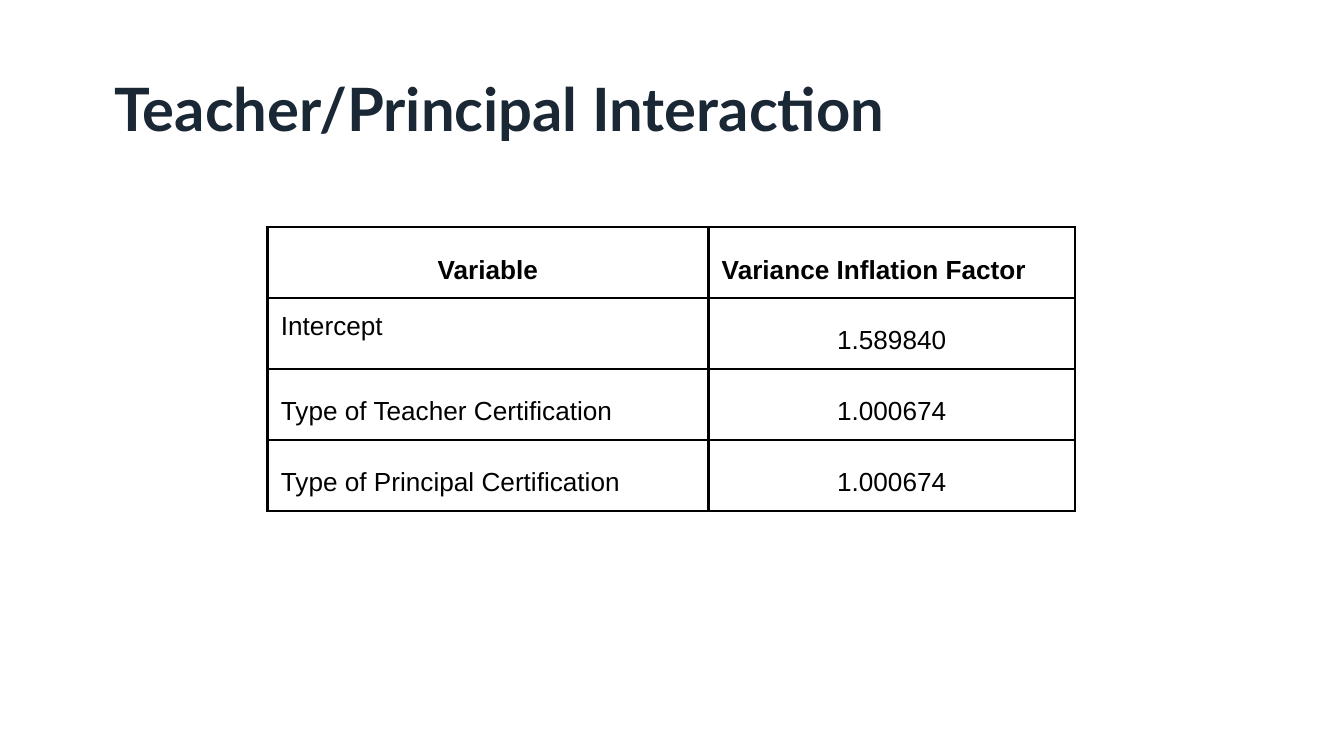
from pptx import Presentation, util as u
from pptx.dml.color import RGBColor
from pptx.enum import text
from pptx.oxml import parse_xml
from pptx.oxml.ns import nsdecls

NAVY = RGBColor(0x1A, 0x28, 0x35)
BLACK = RGBColor(0, 0, 0)
LEFT, CENTER = text.PP_ALIGN.LEFT, text.PP_ALIGN.CENTER
MARGIN = u.Inches(0.1)
COLUMN_WIDTHS = (3.28, 2.73)
ROW_HEIGHTS = (0.47, 0.47, 0.5, 0.45)
ROWS = (
    ("Variable", "Variance Inflation Factor"),
    ("Intercept", "1.589840"),
    ("Type of Teacher Certification", "1.000674"),
    ("Type of Principal Certification", "1.000674"),
)


def set_margins(box):
    box.margin_left = box.margin_right = MARGIN
    box.margin_top = box.margin_bottom = MARGIN


def style_font(font, name, size, color, bold):
    font.name = name
    font.size = u.Pt(size)
    font.color.rgb = color
    font.bold = bold


def add_borders(cell):
    properties = cell._tc.get_or_add_tcPr()
    for index, side in enumerate(("lnL", "lnR", "lnT", "lnB")):
        properties.insert(index, parse_xml(
            f'<a:{side} {nsdecls("a")} w="{u.Pt(1.5)}"><a:solidFill>'
            f'<a:srgbClr val="{BLACK}"/></a:solidFill></a:{side}>'))


def place_title(page, left, top, width, height):
    title = page.shapes.title
    title.left, title.top = u.Inches(left), u.Inches(top)
    title.width, title.height = u.Inches(width), u.Inches(height)
    frame = title.text_frame
    frame.text = "Teacher/Principal Interaction"
    frame.word_wrap = True
    frame.auto_size = text.MSO_AUTO_SIZE.NONE
    frame.vertical_anchor = text.MSO_ANCHOR.MIDDLE
    set_margins(frame)
    para = frame.paragraphs[0]
    para.alignment = LEFT
    style_font(para.font, "Lato", 32, NAVY, True)


def fill_cell(cell, words, alignment, bold, spacing):
    cell.text = words
    cell.fill.background()
    cell.vertical_anchor = text.MSO_ANCHOR.TOP
    set_margins(cell)
    add_borders(cell)
    para = cell.text_frame.paragraphs[0]
    para.alignment = alignment
    para.line_spacing = spacing
    style_font(para.font, "Arial", 14, BLACK, bold)


def place_table(page, left, top):
    frame = page.shapes.add_table(
        len(ROWS), len(COLUMN_WIDTHS), u.Inches(left), u.Inches(top),
        u.Inches(sum(COLUMN_WIDTHS)), u.Inches(sum(ROW_HEIGHTS)))
    table = frame.table
    table.first_row = table.horz_banding = False
    for column, width in zip(table.columns, COLUMN_WIDTHS):
        column.width = u.Inches(width)
    for row, height in zip(table.rows, ROW_HEIGHTS):
        row.height = u.Inches(height)
    for row_index, row in enumerate(ROWS):
        header = row_index == 0
        for column_index, words in enumerate(row):
            centered = header == (column_index == 0)
            spacing = 1.0 if words == "Intercept" else 1.5
            fill_cell(table.cell(row_index, column_index), words,
                      CENTER if centered else LEFT, header, spacing)


def main():
    deck = Presentation()
    deck.slide_width = u.Inches(10)
    deck.slide_height = deck.slide_width * 9 // 16
    page = deck.slides.add_slide(deck.slide_layouts[5])
    place_title(page, 0.75, 0.5, 8.5, 0.6)
    place_table(page, 1.99, 1.69)
    deck.save("out.pptx")


if __name__ == "__main__":
    main()
